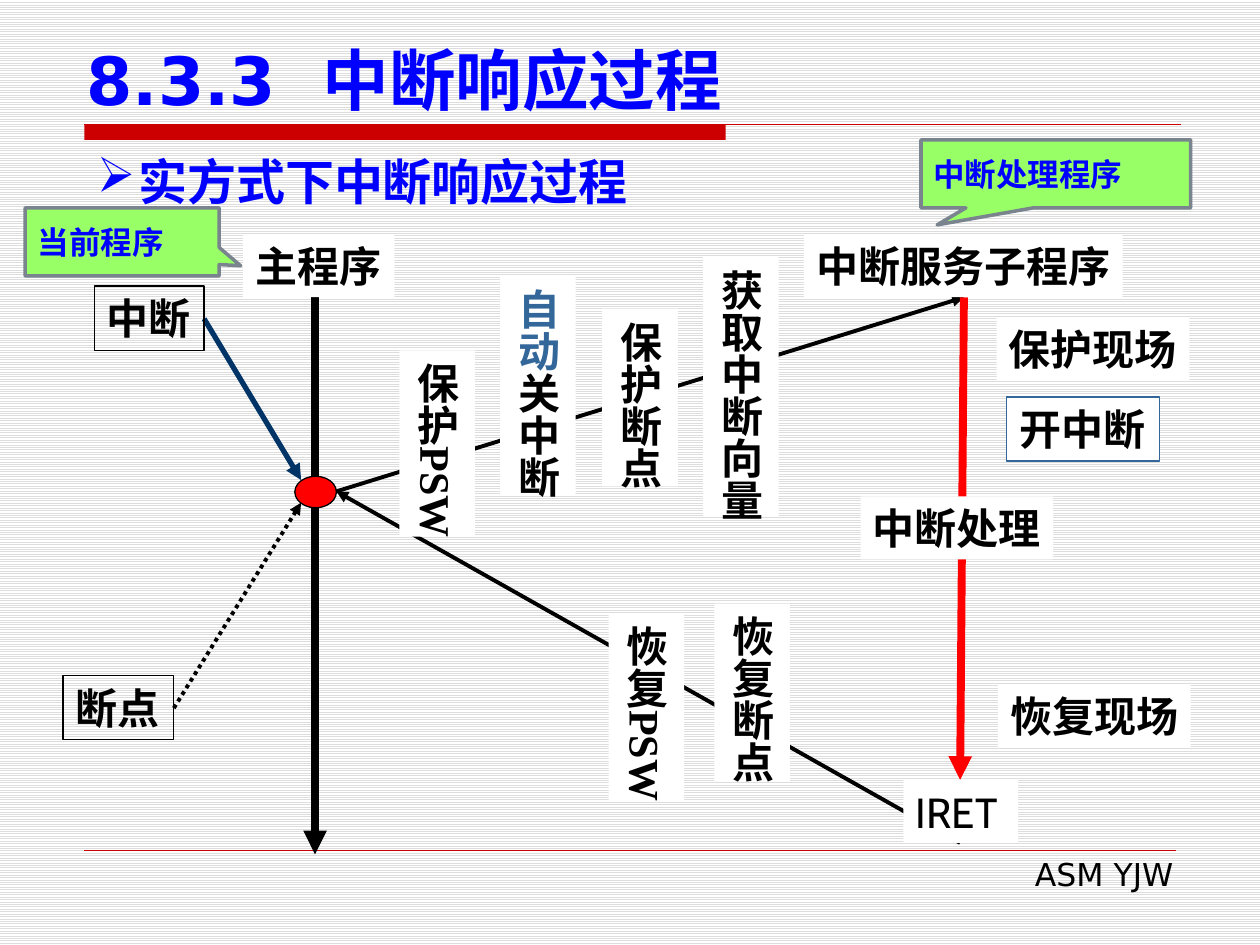
import pptx
import pptx.util
import pptx.dml.color
import pptx.enum.dml
import pptx.enum.shapes
import pptx.enum.text
import pptx.oxml
import pptx.oxml.ns
import pptx.oxml.xmlchemy

Inches = pptx.util.Inches
Pt = pptx.util.Pt
SHAPE = pptx.enum.shapes.MSO_SHAPE
ALIGN = pptx.enum.text.PP_ALIGN
ANCHOR = pptx.enum.text.MSO_ANCHOR
OxmlElement = pptx.oxml.xmlchemy.OxmlElement
qn = pptx.oxml.ns.qn

colors = {
    name: pptx.dml.color.RGBColor.from_string(value)
    for name, value in {
        "black": "000000", "white": "FFFFFF", "stripe": "DDDDDD",
        "rule": "CC0000", "red": "FF0000", "blue": "0000FF",
        "navy": "003366", "steel": "336699", "green": "99FF66",
        "grey": "79848F",
    }.items()
}

prs = pptx.Presentation()
prs.slide_width = Inches(10)
prs.slide_height = Inches(7.5)
s = prs.slides.add_slide(prs.slide_layouts[6])
fill = s.background.fill
fill.patterned()
fill.pattern = pptx.enum.dml.MSO_PATTERN.LIGHT_HORIZONTAL
fill.fore_color.rgb = colors["stripe"]
fill.back_color.rgb = colors["white"]


def add_line(x1, y1, x2, y2, color, width, arrow=True):
    cx = s.shapes.add_connector(
        pptx.enum.shapes.MSO_CONNECTOR.STRAIGHT,
        Inches(x1), Inches(y1), Inches(x2), Inches(y2))
    cx.line.color.rgb = colors[color]
    cx.line.width = Pt(width)
    if arrow:
        tail = OxmlElement("a:tailEnd")
        tail.set("type", "triangle")
        cx.line._get_or_add_ln().append(tail)
    cx._element.spPr.append(OxmlElement("a:effectLst"))
    return cx


def add_box(shape, at, text="", size=24, font="Times New Roman", color="black",
            bold=True, fill=None, line=None, width=0.75, wrap=False,
            anchor=ANCHOR.MIDDLE, align=ALIGN.LEFT):
    at = [Inches(v) for v in at]
    if shape is None:
        sp = s.shapes.add_textbox(*at)
    else:
        sp = s.shapes.add_shape(shape, *at)
        sp.shadow.inherit = False
    if fill:
        sp.fill.solid()
        sp.fill.fore_color.rgb = colors[fill]
    else:
        sp.fill.background()
    if line:
        sp.line.color.rgb = colors[line]
        sp.line.width = Pt(width)
    else:
        sp.line.fill.background()
    tf = sp.text_frame
    tf.word_wrap = wrap
    tf.vertical_anchor = anchor
    p = tf.paragraphs[0]
    p.text = text
    p.alignment = align
    for r in p.runs:
        r.font.size = Pt(size)
        r.font.name = font
        r.font.bold = bold
        r.font.color.rgb = colors[color]
    return sp


add_box(SHAPE.RECTANGLE, (0.67, 0.99, 5.09, 0.12), fill="rule")
add_line(0.67, 0.99, 9.37, 0.99, "rule", 0.75, arrow=False)
add_line(0.67, 6.75, 9.33, 6.75, "rule", 0.25, arrow=False)
add_box(None, (3.82, 6.74, 5.59, 0.4), "ASM YJW", 18, "DejaVu Sans", bold=False,
        wrap=True, anchor=ANCHOR.TOP, align=ALIGN.RIGHT)
add_box(None, (0.59, 0.28, 9.06, 0.71), "8.3.3  中断响应过程", 38, "DejaVu Sans", "blue",
        wrap=True, anchor=ANCHOR.BOTTOM)
sp = add_box(None, (0.67, 1.15, 8.66, 0.57), "实方式下中断响应过程", 28, "DejaVu Sans",
             "blue", wrap=True, anchor=ANCHOR.TOP, align=ALIGN.JUSTIFY)
pPr = sp.text_frame.paragraphs[0]._p.get_or_add_pPr()
pPr.set("marL", str(Inches(0.33)))
pPr.set("indent", str(-Inches(0.33)))
bullet = OxmlElement("a:buChar")
bullet.set("char", "➢")
pPr.append(bullet)

add_line(2.5, 1.94, 2.5, 6.78, "black", 4.5)
add_box(SHAPE.FLOWCHART_CONNECTOR, (2.34, 3.78, 0.33, 0.25), fill="red", line="black")
dotted = add_line(1.38, 5.62, 2.39, 3.99, "black", 2.25)
dotted.line.dash_style = pptx.enum.dml.MSO_LINE.ROUND_DOT
add_line(2.67, 3.9, 7.65, 2.36, "black", 2.25)
add_line(7.62, 6.69, 2.67, 3.9, "black", 2.25)
add_line(7.65, 2.36, 7.62, 6.19, "red", 4.5)
add_line(1.62, 2.53, 2.39, 3.81, "navy", 3)

for text, at, font, bold, box_fill, outline in [
    ("中断", (0.75, 2.27, 0.87, 0.51), "Times New Roman", True, None, "black"),
    ("断点", (0.5, 5.36, 0.88, 0.51), "Cabin", True, None, "black"),
    ("IRET", (7.17, 6.19, 0.91, 0.5), "Cabin", False, "white", None),
    ("中断服务子程序", (6.38, 1.86, 2.53, 0.5), "Cabin", True, "white", None),
    ("主程序", (1.93, 1.86, 1.2, 0.5), "Cabin", True, "white", None),
    ("保护现场", (7.91, 2.52, 1.53, 0.5), "Times New Roman", True, "white", None),
    ("开中断", (7.99, 3.15, 1.21, 0.51), "Times New Roman", True, "white", "steel"),
    ("中断处理", (6.83, 3.94, 1.53, 0.5), "Times New Roman", True, "white", None),
    ("恢复现场", (7.92, 5.43, 1.53, 0.5), "Times New Roman", True, "white", None),
]:
    add_box(SHAPE.RECTANGLE, at, text, font=font, bold=bold, fill=box_fill, line=outline)

for text, x, y, h in [
    ("保护PSW", 3.17, 2.78, 1.48),
    ("自动", 3.97, 2.19, 1.73),
    ("保护断点", 4.78, 2.45, 1.41),
    ("获取中断向量", 5.58, 2.04, 2.06),
    ("恢复PSW", 4.83, 4.87, 1.48),
    ("恢复断点", 5.67, 4.79, 1.41),
]:
    sp = add_box(SHAPE.RECTANGLE, (x, y, 0.6, h), text, fill="white")
    sp.text_frame._txBody.find(qn("a:bodyPr")).set("vert", "eaVert")
    if text == "自动":
        p = sp.text_frame.paragraphs[0]
        p.runs[0].font.color.rgb = colors["steel"]
        r = p.add_run()
        r.text = "关中断"
        r.font.size = Pt(24)
        r.font.name = "Times New Roman"
        r.font.bold = True
        r.font.color.rgb = colors["black"]

for text, at, tip in [
    ("中断处理程序", (7.31, 1.11, 2.14, 0.54), (-0.44, 0.75)),
    ("当前程序", (0.2, 1.65, 1.54, 0.54), (0.61, 0.35)),
]:
    sp = add_box(SHAPE.RECTANGULAR_CALLOUT, at, text, 18, "DejaVu Sans", "blue",
                 fill="green", line="grey", width=2, wrap=True)
    sp.adjustments[0], sp.adjustments[1] = tip

prs.save("out.pptx")
